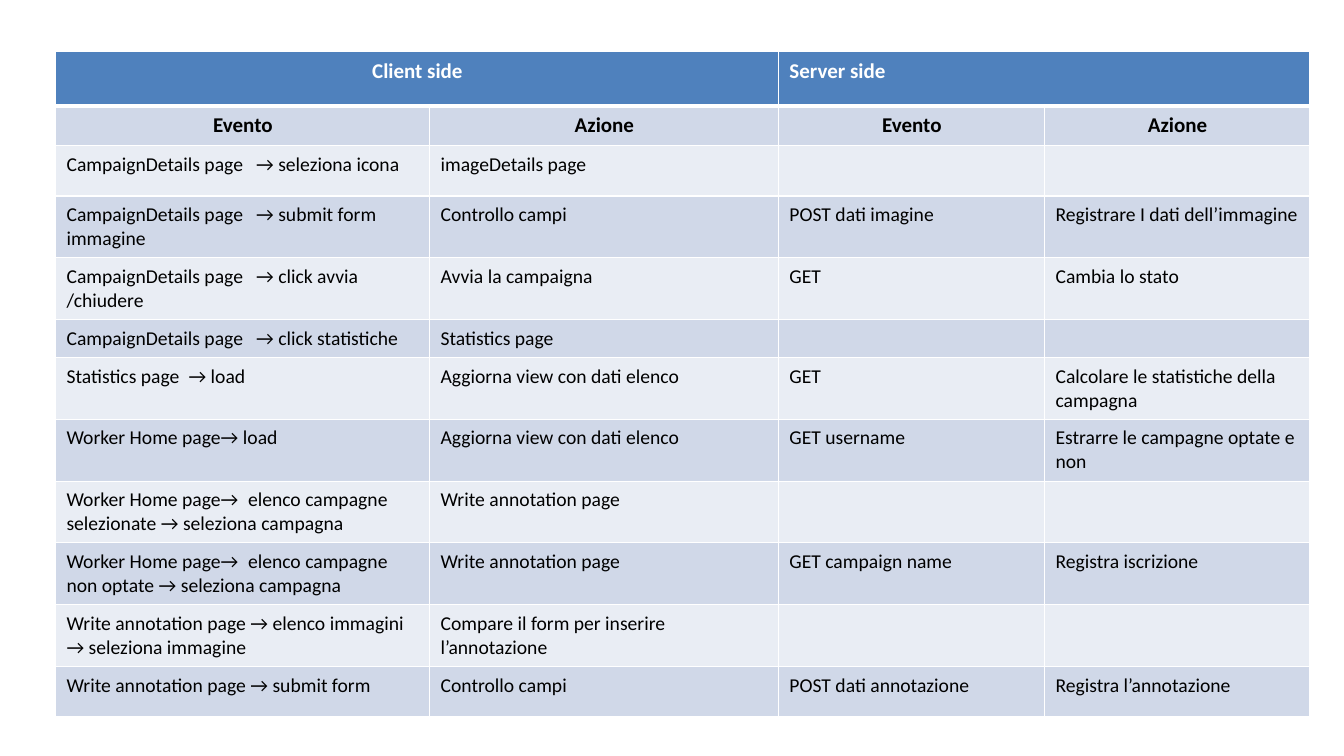
"""Build a slide with a table of client and server events and actions."""
from lxml.etree import SubElement
from pptx import Presentation
from pptx.dml.color import RGBColor as Rgb
from pptx.enum.text import PP_ALIGN as Align
from pptx.oxml.ns import qn
from pptx.util import Inches, Pt

COLORS = {"head": "4F81BD", "dark": "D0D8E8", "light": "E9EDF4",
          "white": "FFFFFF", "black": "000000"}
FONT = "Calibri"
LEFT, TOP = 0.55, 0.51
WIDTHS = [3.71, 3.46, 2.64, 2.63]
HEIGHTS = [0.54, 0.38, 0.5, 0.61, 0.61, 0.37, 0.61, 0.61, 0.61, 0.61, 0.61, 0.5]
TABS = {"CampaignDetails page": 1.88, "Statistics page": 1.21,
        "Worker Home page→": 1.8}
ROWS = [
    ("Client side", "", "Server side", ""),
    ("Evento", "Azione", "Evento", "Azione"),
    ("CampaignDetails page\t→ seleziona icona", "imageDetails page", "", ""),
    ("CampaignDetails page\t→ submit form immagine", "Controllo campi",
     "POST dati imagine", "Registrare I dati dell’immagine"),
    ("CampaignDetails page\t→ click avvia /chiudere", "Avvia la campaigna",
     "GET", "Cambia lo stato"),
    ("CampaignDetails page\t→ click statistiche", "Statistics page", "", ""),
    ("Statistics page\t→ load", "Aggiorna view con dati elenco",
     "GET", "Calcolare le statistiche della campagna"),
    ("Worker Home page→ load", "Aggiorna view con dati elenco",
     "GET username", "Estrarre le campagne optate e non"),
    ("Worker Home page→\telenco campagne selezionate → seleziona campagna",
     "Write annotation page", "", ""),
    ("Worker Home page→\telenco campagne non optate → seleziona campagna",
     "Write annotation page", "GET campaign name", "Registra iscrizione"),
    ("Write annotation page → elenco immagini → seleziona immagine",
     "Compare il form per inserire l’annotazione", "", ""),
    ("Write annotation page → submit form", "Controllo campi",
     "POST dati annotazione", "Registra l’annotazione"),
]


def add_edges(cell, base):
    """Draw the four white borders, with a given bottom width in points."""
    props = cell._tc.get_or_add_tcPr()
    sides = [("lnL", 1), ("lnR", 1), ("lnT", 1), ("lnB", base)]
    for spot, (side, width) in enumerate(sides):
        line = SubElement(props, qn(f"a:{side}"), w=str(Pt(width)))
        fill = SubElement(line, qn("a:solidFill"))
        SubElement(fill, qn("a:srgbClr"), val=COLORS["white"])
        props.insert(spot, line)


def add_text(cell, text, row, size):
    """Write one cell, with a tab stop where its text has a gap."""
    para = cell.text_frame.paragraphs[0]
    if not text:
        SubElement(para._p, qn("a:endParaRPr"), sz=str(size * 100))
        return
    start, gap, _ = text.partition("\t")
    if gap:
        stops = SubElement(para._p.get_or_add_pPr(), qn("a:tabLst"))
        SubElement(stops, qn("a:tab"), pos=str(Inches(TABS[start])), algn="l")
    centred = row == 1 or text == "Client side"
    para.alignment = Align.CENTER if centred else Align.LEFT
    run = para.add_run()
    run.text = text
    run.font.name = FONT
    run.font.size = Pt(size)
    run.font.bold = row < 2
    run.font.color.rgb = Rgb.from_string(COLORS["black" if row else "white"])


def main():
    """Make the slide and save it."""
    deck = Presentation()
    deck.slide_width, deck.slide_height = Inches(13.33), Inches(7.5)
    slide = deck.slides.add_slide(deck.slide_layouts[6])
    table = slide.shapes.add_table(
        len(ROWS), len(WIDTHS), Inches(LEFT), Inches(TOP),
        Inches(sum(WIDTHS)), Inches(sum(HEIGHTS))).table
    for col, width in zip(table.columns, WIDTHS):
        col.width = Inches(width)
    for line, height in zip(table.rows, HEIGHTS):
        line.height = Inches(height)
    for row, texts in enumerate(ROWS):
        shade = "dark" if row % 2 else "light"
        for col, text in enumerate(texts):
            cell = table.cell(row, col)
            cell.margin_left, cell.margin_right = Inches(0.11), Inches(0.1)
            cell.margin_top = cell.margin_bottom = Inches(0.07)
            cell.fill.solid()
            cell.fill.fore_color.rgb = Rgb.from_string(
                COLORS[shade if row else "head"])
            add_edges(cell, 1 if row else 3)
            add_text(cell, text, row, 15 if row < 2 else 14)
    for col in (0, 2):
        table.cell(0, col).merge(table.cell(0, col + 1))
    deck.save("out.pptx")


if __name__ == "__main__":
    main()
